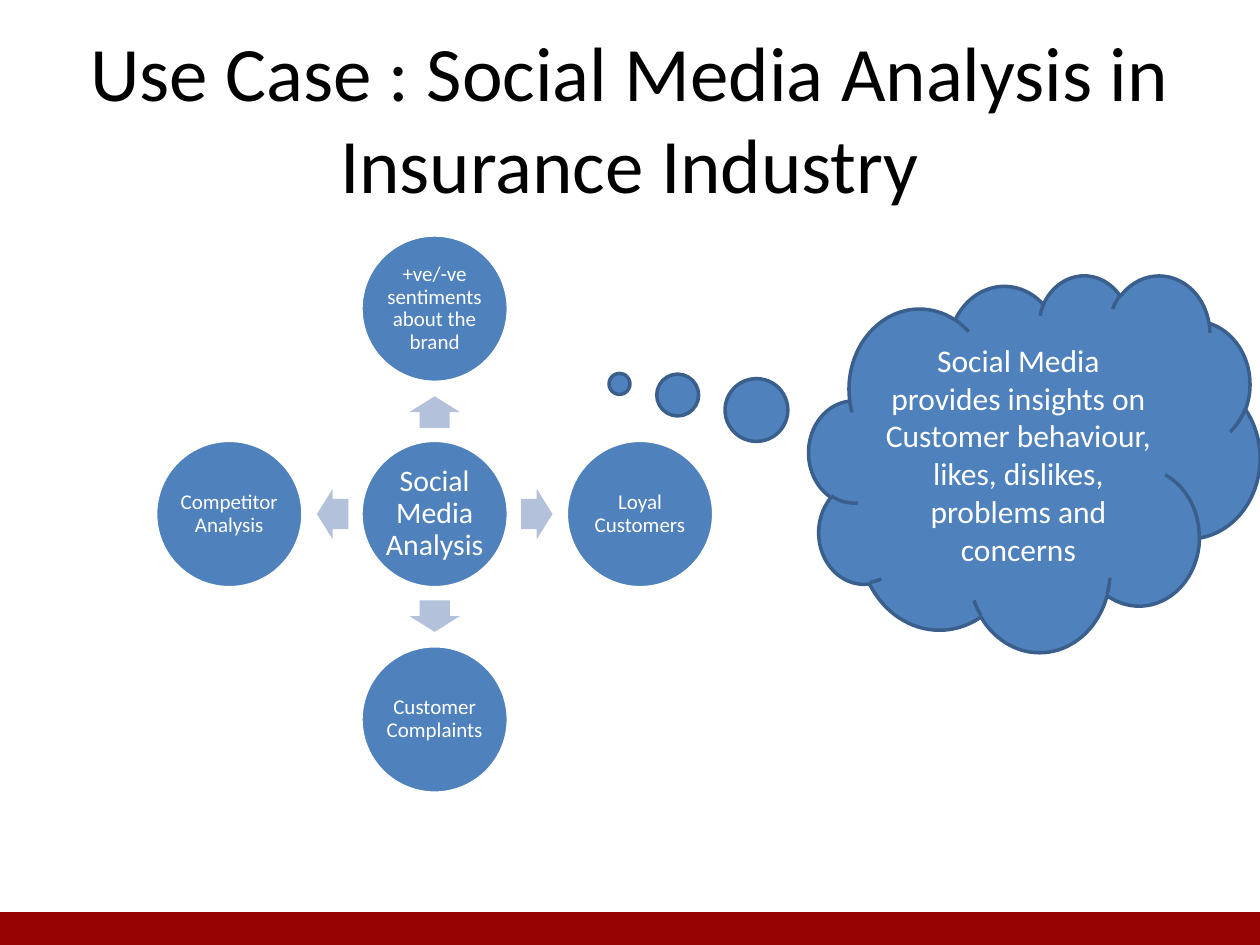
from dataclasses import dataclass

from pptx import Presentation
from pptx.dml.color import RGBColor
from pptx.enum.shapes import MSO_SHAPE
from pptx.enum.text import MSO_ANCHOR, PP_ALIGN
from pptx.util import Inches, Pt

RECTANGLE = MSO_SHAPE.RECTANGLE
ELLIPSE = MSO_SHAPE.OVAL
ARROW = MSO_SHAPE.RIGHT_ARROW
CLOUD = MSO_SHAPE.CLOUD_CALLOUT
MIDDLE = MSO_ANCHOR.MIDDLE
CENTER = PP_ALIGN.CENTER


@dataclass(frozen=True)
class Theme:
    font: str = "Calibri"
    black: str = "000000"
    white: str = "FFFFFF"
    blue: str = "4F81BD"
    dark_blue: str = "3A5F8C"
    pale_blue: str = "B3C1DB"
    red: str = "970303"
    title_size: int = 44
    cloud_size: int = 18
    hub_size: int = 17
    topic_size: int = 12
    line_width: int = 2


THEME = Theme()
HUB_X, HUB_Y = 3.45, 4.08
CIRCLE_SIZE = 1.17
CIRCLE_INSET = 0.02
ARROW_WIDTH, ARROW_HEIGHT = 0.25, 0.4
TOPIC_DISTANCE = 1.63
ARROW_DISTANCE = 0.81
TOPICS = [
    ("+ve/-ve sentiments about the brand", 0, -1, 270),
    ("Loyal Customers", 1, 0, 0),
    ("Customer Complaints", 0, 1, 90),
    ("Competitor Analysis", -1, 0, 180),
]


def write_text(frame, text, *, size, color=THEME.white, inset=None, spacing=None):
    frame.word_wrap = True
    frame.vertical_anchor = MIDDLE
    if inset is not None:
        frame.margin_left = frame.margin_right = Inches(inset)
        frame.margin_top = frame.margin_bottom = Inches(inset)
    paragraph = frame.paragraphs[0]
    paragraph.alignment = CENTER
    if spacing is not None:
        paragraph.line_spacing = spacing
    run = paragraph.add_run()
    run.text = text
    run.font.name = THEME.font
    run.font.size = Pt(size)
    run.font.color.rgb = RGBColor.from_string(color)


def add_filled(slide, kind, left, top, width, height, fill, outline=None):
    shape = slide.shapes.add_shape(
        kind, Inches(left), Inches(top), Inches(width), Inches(height)
    )
    shape.shadow.inherit = False
    shape.fill.solid()
    shape.fill.fore_color.rgb = RGBColor.from_string(fill)
    if outline:
        shape.line.color.rgb = RGBColor.from_string(outline)
        shape.line.width = Pt(THEME.line_width)
    else:
        shape.line.fill.background()
    return shape


def add_title(slide, text):
    title = slide.shapes.add_textbox(Inches(0.5), Inches(0.3), Inches(9), Inches(1.25))
    write_text(title.text_frame, text, size=THEME.title_size, color=THEME.black)


def add_circle(slide, text, center_x, center_y, size):
    circle = add_filled(
        slide, ELLIPSE, center_x - CIRCLE_SIZE / 2, center_y - CIRCLE_SIZE / 2,
        CIRCLE_SIZE, CIRCLE_SIZE, THEME.blue, THEME.white,
    )
    write_text(circle.text_frame, text, size=size, inset=CIRCLE_INSET, spacing=0.9)


def add_arrow(slide, center_x, center_y, rotation):
    arrow = add_filled(
        slide, ARROW, center_x - ARROW_WIDTH / 2, center_y - ARROW_HEIGHT / 2,
        ARROW_WIDTH, ARROW_HEIGHT, THEME.pale_blue,
    )
    arrow.adjustments[0] = 0.6
    arrow.adjustments[1] = 0.5
    arrow.rotation = rotation


def add_radial_diagram(slide):
    add_circle(slide, "Social Media Analysis", HUB_X, HUB_Y, THEME.hub_size)
    for topic, dx, dy, rotation in TOPICS:
        add_arrow(
            slide, HUB_X + dx * ARROW_DISTANCE, HUB_Y + dy * ARROW_DISTANCE, rotation
        )
        add_circle(
            slide, topic, HUB_X + dx * TOPIC_DISTANCE, HUB_Y + dy * TOPIC_DISTANCE,
            THEME.topic_size,
        )


def add_thought_cloud(slide, text):
    cloud = add_filled(
        slide, CLOUD, 6.42, 2.18, 3.58, 2.99, THEME.blue, THEME.dark_blue
    )
    cloud.adjustments[0] = -0.92
    cloud.adjustments[1] = -0.21
    write_text(cloud.text_frame, text, size=THEME.cloud_size)


def main():
    presentation = Presentation()
    presentation.slide_width = Inches(10)
    presentation.slide_height = Inches(7.5)
    slide = presentation.slides.add_slide(presentation.slide_layouts[6])
    add_filled(slide, RECTANGLE, 0, 7.25, 10, 0.25, THEME.red, THEME.red)
    add_title(slide, "Use Case : Social Media Analysis in Insurance Industry")
    add_radial_diagram(slide)
    add_thought_cloud(
        slide,
        "Social Media provides insights on Customer behaviour, likes, dislikes, "
        "problems and concerns",
    )
    presentation.save("out.pptx")


if __name__ == "__main__":
    main()
